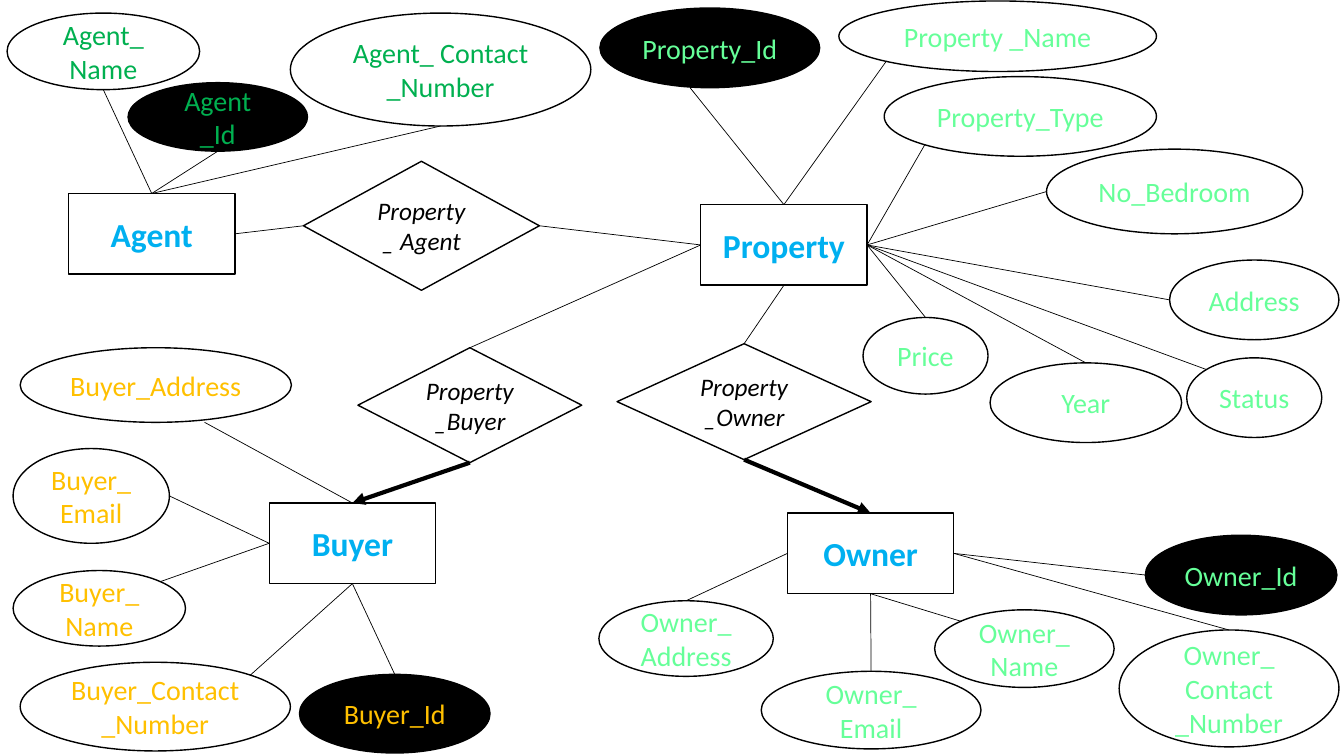
from lxml.etree import SubElement
from pptx import Presentation
from pptx.dml.color import RGBColor
from pptx.enum.shapes import MSO_CONNECTOR as Connector, MSO_SHAPE as Shape
from pptx.enum.text import MSO_ANCHOR as Anchor, PP_ALIGN as Align
from pptx.oxml.ns import qn
from pptx.util import Inches, Pt

SLIDE_WIDTH, SLIDE_HEIGHT = Inches(13.33), Inches(7.5)
COLUMN, ROW = SLIDE_WIDTH / 133.3, SLIDE_HEIGHT / 75

BLACK = RGBColor(0x00, 0x00, 0x00)
WHITE = RGBColor(0xFF, 0xFF, 0xFF)
BLUE = RGBColor(0x00, 0xB0, 0xF0)
GREEN = RGBColor(0x00, 0xB0, 0x50)
MINT = RGBColor(0x66, 0xFF, 0x99)
AMBER = RGBColor(0xFF, 0xC0, 0x00)

TOP, LEFT, BOTTOM, RIGHT = (0.5, 0), (0, 0.5), (0.5, 1), (1, 0.5)
TOP_LEFT, TOP_RIGHT, BOTTOM_LEFT = (0.15, 0.15), (0.85, 0.15), (0.15, 0.85)

ENTITY_SIZE = (16.5, 8)
ENTITIES = {
    "Agent": ((6.8, 19.2), GREEN, [
        ("Agent_ Contact _Number", (28.8, 1.3, 29.8, 11.2), BOTTOM, TOP),
        ("Agent_ Name", (0.7, 1.3, 19.1, 7.6), BOTTOM, TOP),
        ("Agent _Id", (12.7, 8.2, 17.8, 6.8), BOTTOM, TOP),
    ]),
    "Property": ((69.5, 20.3), MINT, [
        ("Property_Id", (59.5, 0.8, 21.8, 7.9), (0.41, 1), TOP),
        ("Property _Name", (83.2, 0.1, 31.5, 7), BOTTOM_LEFT, TOP),
        ("Property_Type", (87.7, 7.6, 27, 7.9), BOTTOM_LEFT, RIGHT),
        ("No_Bedroom", (103.8, 14.8, 25.4, 8.4), LEFT, RIGHT),
        ("Address", (116, 25.8, 16.8, 7.9), LEFT, RIGHT),
        ("Status", (117.7, 35.5, 13.4, 7.9), TOP_LEFT, RIGHT),
        ("Year", (98.2, 36, 19, 7.9), TOP, RIGHT),
        ("Price", (85.6, 31.5, 12.4, 7.6), TOP, RIGHT),
    ]),
    "Buyer": ((26.7, 49.9), AMBER, [
        ("Buyer_Address", (2, 34.5, 26.9, 7.4), (0.68, 1), TOP),
        ("Buyer_ Email", (1.3, 44.5, 15.5, 9.4), RIGHT, LEFT),
        ("Buyer_ Name", (1.3, 56.6, 17.1, 7.5), TOP_RIGHT, LEFT),
        ("Buyer_Contact _Number", (2, 65.7, 26.8, 8.8), TOP_RIGHT, BOTTOM),
        ("Buyer_Id", (29.7, 66.9, 18.9, 7.8), TOP, BOTTOM),
    ]),
    "Owner": ((78.1, 50.9), MINT, [
        ("Owner_ Address", (59.4, 59.6, 17.3, 7.5), TOP, LEFT),
        ("Owner_ Email", (75.5, 66.6, 21.8, 7.7), TOP, BOTTOM),
        ("Owner_ Name", (92.7, 60.5, 17.8, 7.7), TOP_LEFT, BOTTOM),
        ("Owner_\nContact _Number", (111, 62.5, 21.8, 11.6), TOP, RIGHT),
        ("Owner_Id", (113.6, 53.1, 19, 7.9), LEFT, RIGHT),
    ]),
}
RELATIONSHIPS = [
    ("Property_ Agent", (30.1, 16, 23.4, 12.8),
     ("Property", RIGHT, LEFT), ("Agent", LEFT, RIGHT), False),
    ("Property _Owner", (61.2, 34.1, 25.2, 11.5),
     ("Property", TOP, BOTTOM), ("Owner", BOTTOM, TOP), True),
    ("Property _Buyer", (35.5, 34.5, 22.2, 11.4),
     ("Property", TOP, LEFT), ("Buyer", BOTTOM, TOP), True),
]


def add_node(slide, kind, label, box, color, size, fill=WHITE, bold=False, italic=False):
    left, top, width, height = box
    node = slide.shapes.add_shape(
        kind, round(left * COLUMN), round(top * ROW),
        round(width * COLUMN), round(height * ROW))
    node.shadow.inherit = False
    node.fill.solid()
    node.fill.fore_color.rgb = fill
    node.line.color.rgb = BLACK
    node.line.width = Pt(1)
    frame = node.text_frame
    frame.word_wrap = True
    frame.vertical_anchor = Anchor.MIDDLE
    frame.text = label
    for paragraph in frame.paragraphs:
        paragraph.alignment = Align.CENTER
        font = paragraph.font
        font.name, font.size = "Calibri", Pt(size)
        font.bold, font.italic = bold, italic
        font.color.rgb = color
    return node


def point_on(node, site):
    across, down = site
    return round(node.left + across * node.width), round(node.top + down * node.height)


def link(slide, start, start_site, end, end_site, arrow=False):
    edge = slide.shapes.add_connector(
        Connector.STRAIGHT, *point_on(start, start_site), *point_on(end, end_site))
    edge.line.color.rgb = BLACK
    edge.line.width = Pt(3 if arrow else 0.5)
    if arrow:
        SubElement(edge.line._get_or_add_ln(), qn("a:tailEnd"), type="triangle")
    SubElement(edge._element.spPr, qn("a:effectLst"))


def add_entity(slide, name, corner, color, attributes):
    entity = add_node(slide, Shape.RECTANGLE, name, corner + ENTITY_SIZE, BLUE, 24, bold=True)
    for label, box, site, entity_site in attributes:
        fill = BLACK if label.endswith("_Id") else WHITE
        attribute = add_node(slide, Shape.OVAL, label, box, color, 20, fill)
        link(slide, attribute, site, entity, entity_site)
    return entity


def add_relationship(slide, entities, label, box, source, target, arrow):
    diamond = add_node(slide, Shape.DIAMOND, label, box, BLACK, 18, italic=True)
    source_name, site, source_site = source
    link(slide, entities[source_name], source_site, diamond, site)
    target_name, site, target_site = target
    link(slide, diamond, site, entities[target_name], target_site, arrow)


def main():
    deck = Presentation()
    deck.slide_width, deck.slide_height = SLIDE_WIDTH, SLIDE_HEIGHT
    slide = deck.slides.add_slide(deck.slide_layouts[6])
    entities = {name: add_entity(slide, name, *parts) for name, parts in ENTITIES.items()}
    for relationship in RELATIONSHIPS:
        add_relationship(slide, entities, *relationship)
    deck.save("out.pptx")


if __name__ == "__main__":
    main()
